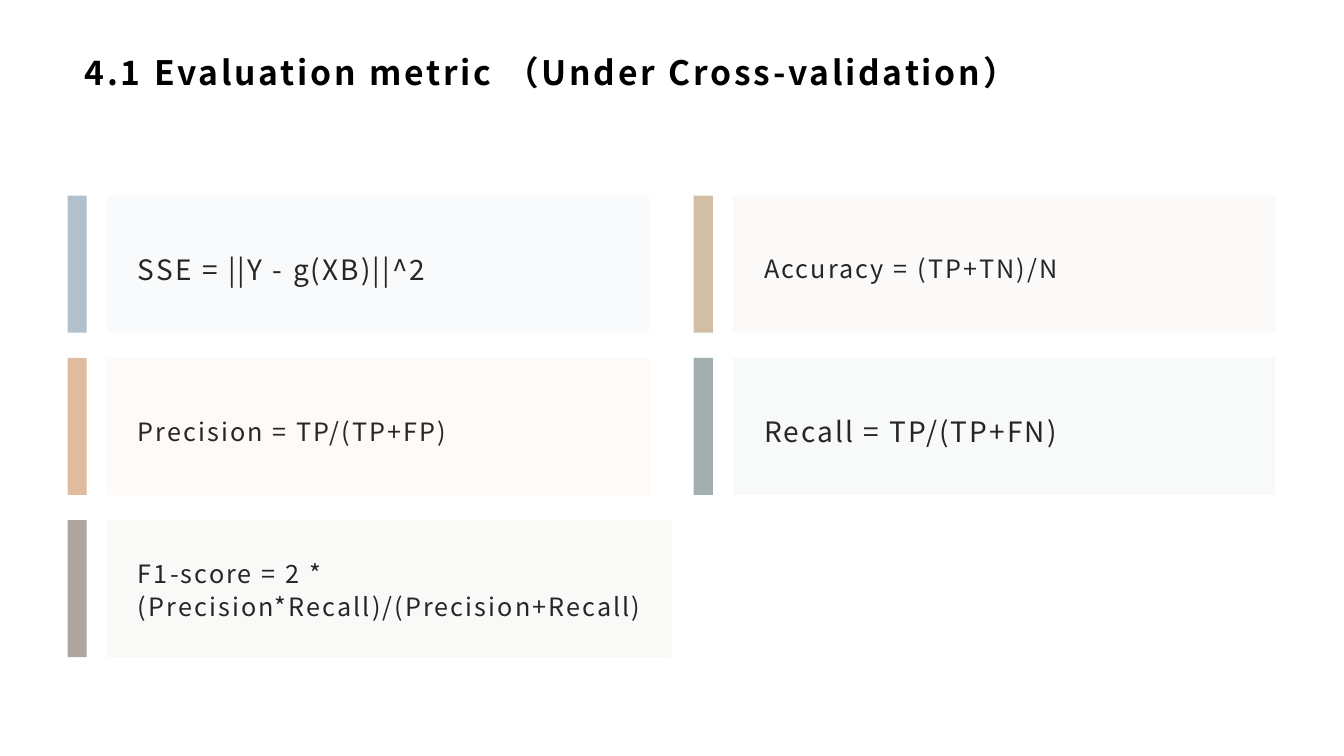
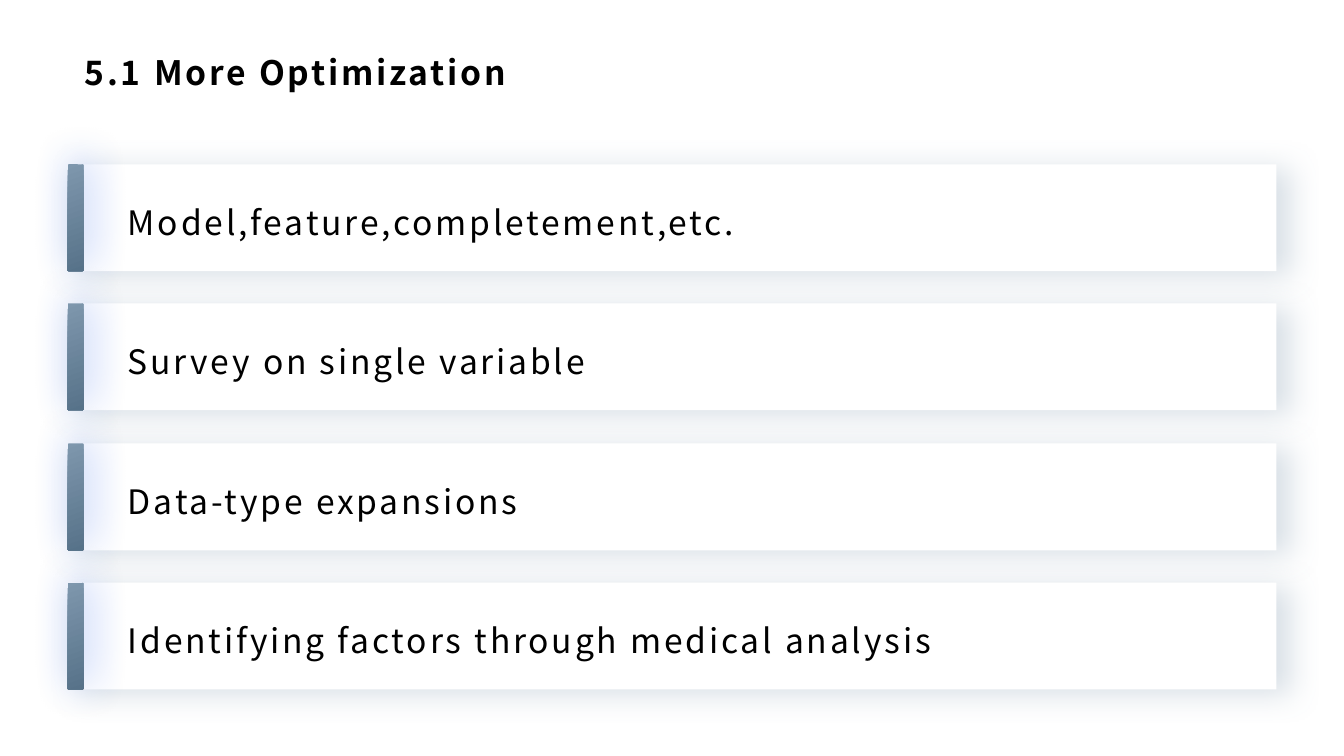
from pptx import Presentation
from pptx.dml.color import RGBColor
from pptx.enum.shapes import MSO_SHAPE as Shape
from pptx.enum.text import MSO_ANCHOR as Anchor, MSO_AUTO_SIZE as AutoSize, PP_ALIGN as Align
from pptx.oxml.ns import qn
from pptx.util import Emu, Pt
from lxml.etree import SubElement

PX = 9144  # EMU; 100 px to the inch
FONT = "Noto Sans CJK SC"
BLACK, INK, WHITE = "000000", "262626", "FFFFFF"
BAR_TOP, BAR_BOTTOM, GLOW = "7E97AD", "577289", "4575F0"
LEFT = 67

# column, row, panel width, text width, bar colour, panel colour, size, line spacing, formula
METRICS = [
    (0, 0, 538, 505, "7E97AD", "E5EAEF", 20, 1.3, "SSE = ||Y - g(XB)||^2"),
    (0, 1, 538, 505, "CC8E60", "F5E8DF", 18, 1.3, "Precision = TP/(TP+FP)"),
    (0, 2, 560, 581, "7A6A60", "E5E1DE", 18, 1.1,
     "F1-score = 2 * (Precision*Recall)/(Precision+Recall)"),
    (1, 0, 538, 505, "B4936D", "F0E9E2", 18, 1.3, "Accuracy = (TP+TN)/N"),
    (1, 1, 538, 505, "67787B", "E0E4E5", 20, 1.3, "Recall = TP/(TP+FN)"),
]
IDEAS = [
    "Model,feature,completement,etc.",
    "Survey on single variable",
    "Data-type expansions",
    "Identifying factors through medical analysis",
]


def px(*lengths):
    return [Emu(round(length * PX)) for length in lengths]


def rgb(color):
    return RGBColor.from_string(color)


def write(frame, text, size, color=BLACK, bold=False, spacing=2.0, line=1.0):
    """Fill a text frame with one left-aligned paragraph; spacing is in points."""
    frame.word_wrap = True
    frame.auto_size = AutoSize.NONE
    frame.vertical_anchor = Anchor.MIDDLE
    para = frame.paragraphs[0]
    para.alignment = Align.LEFT
    para.line_spacing = line
    span = para.add_run()
    span.text = text
    font = span.font
    font.name, font.size, font.bold = FONT, Pt(size), bold
    font.color.rgb = rgb(color)
    props = font._element
    props.set("spc", str(round(spacing * 100)))
    SubElement(props, qn("a:ea")).set("typeface", FONT)


def add_page(deck, title):
    page = deck.slides.add_slide(deck.slide_layouts[5])
    box = page.shapes.title
    box.left, box.top, box.width, box.height = px(73, 48, 1187, 48)
    frame = box.text_frame
    frame.margin_left, frame.margin_top, frame.margin_right, frame.margin_bottom = px(11, 4, 8, 4)
    write(frame, title, 24, bold=True)
    return page


def add_text(page, left, top, width, height, text, size, **style):
    box = page.shapes.add_textbox(*px(left, top, width, height))
    write(box.text_frame, text, size, **style)


def add_block(page, left, top, width, height, color, alpha=100, kind=Shape.RECTANGLE):
    block = page.shapes.add_shape(kind, *px(left, top, width, height))
    block.shadow.inherit = False
    block.line.fill.background()
    block.fill.solid()
    block.fill.fore_color.rgb = rgb(color)
    if alpha < 100:
        tint = block._element.spPr.find(".//" + qn("a:srgbClr"))
        SubElement(tint, qn("a:alpha")).set("val", str(alpha * 1000))
    return block


def cast_shadow(block, color, alpha, blur, distance, angle):
    """Add an outer shadow; blur and distance are in points."""
    effects = block._element.spPr.find(qn("a:effectLst"))
    shadow = SubElement(effects, qn("a:outerShdw"), {
        "blurRad": str(Pt(blur)), "dist": str(Pt(distance)),
        "dir": str(angle * 60000), "algn": "ctr", "rotWithShape": "0"})
    tint = SubElement(shadow, qn("a:srgbClr"), val=color)
    SubElement(tint, qn("a:alpha")).set("val", str(alpha * 1000))


def shade(block, *colors):
    block.fill.gradient()
    block.fill.gradient_angle = 290
    for stop, color in zip(block.fill.gradient_stops, colors):
        stop.color.rgb = rgb(color)


def add_metric(page, column, row, panel_width, text_width, bar, panel, size, line, formula):
    left, top = LEFT + column * 621, 194 + row * 161
    add_block(page, left + 39, top, panel_width, 136, panel, alpha=20)
    add_block(page, left, top, 19, 136, bar, alpha=60)
    add_text(page, left + 60, top + 12, text_width, 112, formula, size,
             color=INK, spacing=1.5, line=line)


def add_idea(page, row, text):
    top, height = 163 + round(row * 415 / 3), 106
    card = add_block(page, LEFT, top, 1199, height, WHITE)
    cast_shadow(card, BAR_TOP, 30, 22, 9, 17)
    bar = add_block(page, LEFT, top, 16, height, BAR_TOP, kind=Shape.ROUNDED_RECTANGLE)
    bar.adjustments[0] = 0.08
    shade(bar, BAR_TOP, BAR_BOTTOM)
    cast_shadow(bar, GLOW, 45, 30, 5, 315)
    add_text(page, LEFT + 50, top, 1148, height, text, 24, line=1.2)


def main():
    deck = Presentation()
    deck.slide_width, deck.slide_height = px(1333, 750)
    page = add_page(deck, "4.1 Evaluation metric （Under Cross-validation）")
    for metric in METRICS:
        add_metric(page, *metric)
    page = add_page(deck, "5.1 More Optimization")
    for row, text in enumerate(IDEAS):
        add_idea(page, row, text)
    deck.save("out.pptx")


if __name__ == "__main__":
    main()
